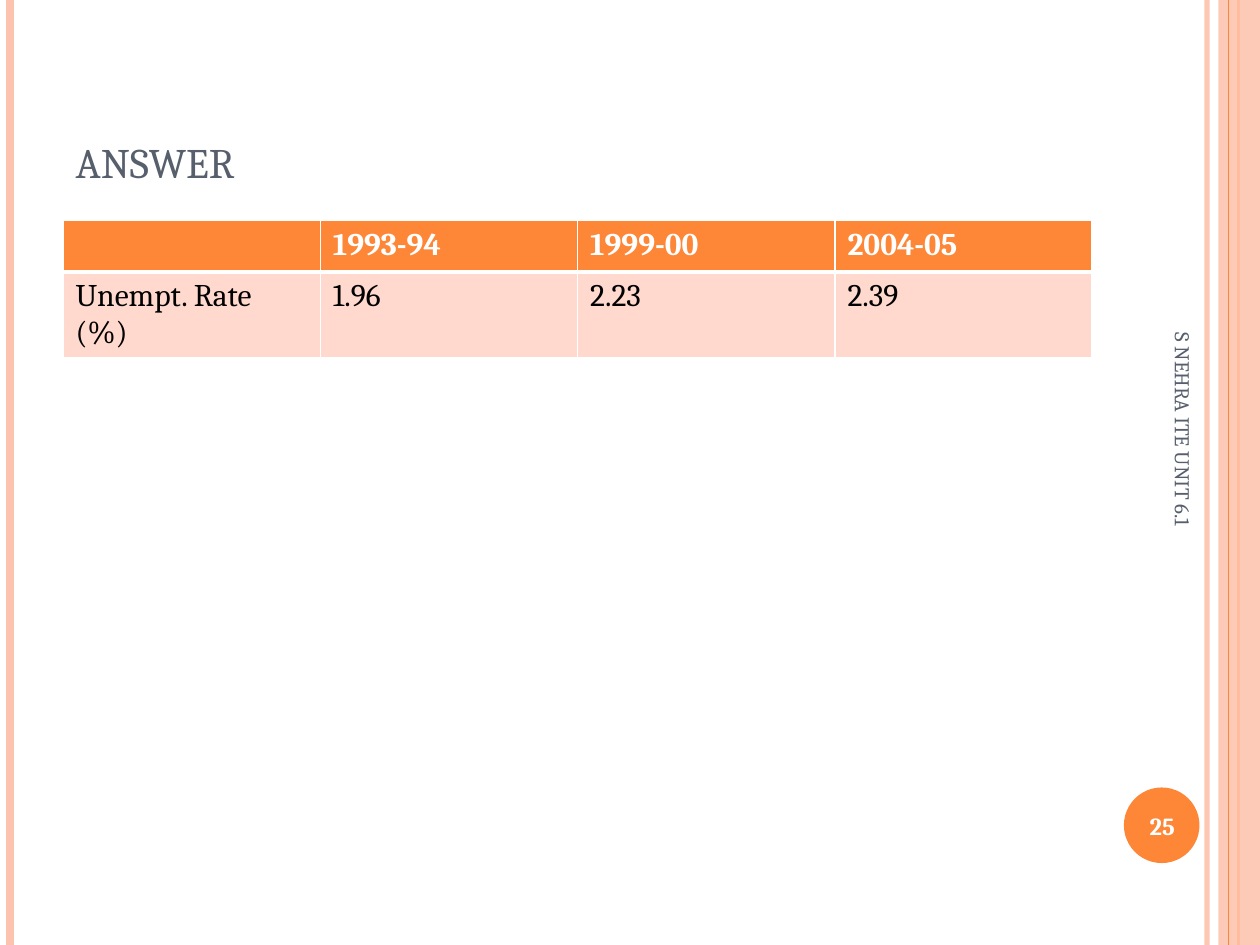
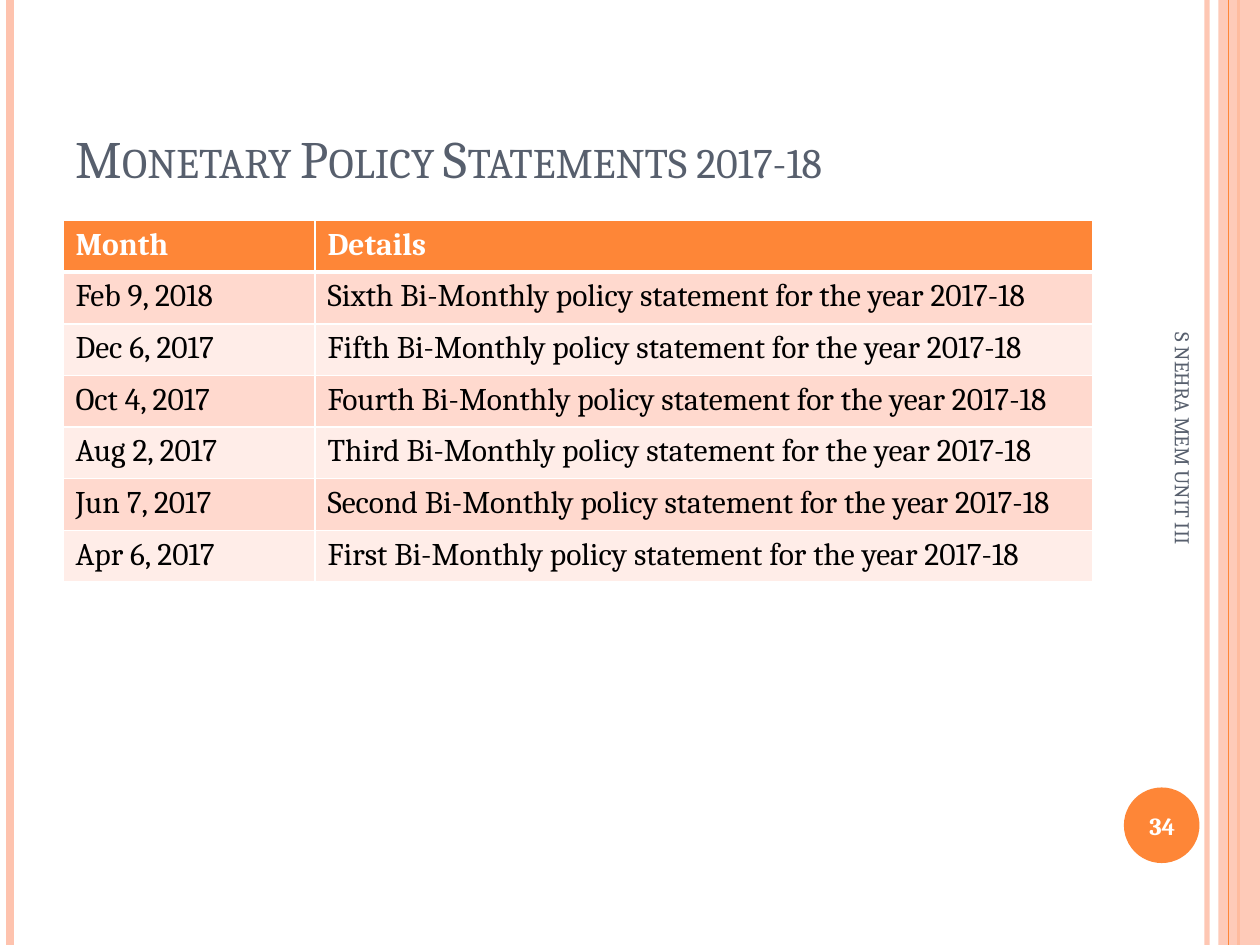
from dataclasses import dataclass

from pptx import Presentation
from pptx import util as u
from pptx.dml.color import RGBColor
from pptx.enum import shapes, text
from pptx.oxml.ns import qn
from lxml import etree


@dataclass(frozen=True)
class Theme:
    font: str = "Cambria"
    accent: str = "FE8637"
    pale: str = "FEC3AE"
    slate: str = "575F6D"
    white: str = "FFFFFF"
    black: str = "000000"
    bands: tuple = ("FFD9CE", "FFEDE8")
    title_size: int = 30
    table_size: int = 18
    number_size: int = 14
    footer_size: int = 12


T = Theme()
PAGE_W, PAGE_H = 10, 7.5
LEFT, CONTENT_W = 0.5, 8.17
ROW_H = 0.41


def rgb(value):
    return RGBColor.from_string(value)


def box(*inches):
    return [u.Inches(v) for v in inches]


def write(tf, content, size, color, bold=False, align=text.PP_ALIGN.LEFT,
          anchor=None, small_caps=False):
    tf.word_wrap = True
    if anchor is not None:
        tf.vertical_anchor = anchor
    p = tf.paragraphs[0]
    p.alignment = align
    r = p.add_run()
    r.text = content
    r.font.name, r.font.size, r.font.bold = T.font, u.Pt(size), bold
    r.font.color.rgb = rgb(color)
    if small_caps:
        r.font.element.set("cap", "small") if hasattr(r.font, "element") else \
            r._r.get_or_add_rPr().set("cap", "small")


def set_alpha(sp, percent):
    clr = next(sp.element.spPr.iter(qn("a:srgbClr")))
    etree.SubElement(clr, qn("a:alpha"), val=str(percent * 1000))


def add_stripe(s, x, color, width, alpha=None):
    """Draw a full-height vertical line."""
    line = s.shapes.add_connector(shapes.MSO_CONNECTOR.STRAIGHT, *box(x, 0, x, PAGE_H))
    line.line.color.rgb = rgb(color)
    line.line.width = u.Pt(width)
    if alpha:
        set_alpha(line, alpha)
    etree.SubElement(line.element.spPr, qn("a:effectLst"))
    return line


def add_filled(s, kind, at, color, alpha=None):
    sp = s.shapes.add_shape(kind, *box(*at))
    sp.shadow.inherit = False
    sp.fill.solid()
    sp.fill.fore_color.rgb = rgb(color)
    sp.line.fill.background()
    if alpha:
        set_alpha(sp, alpha)
    return sp


def decorate_layout(s):
    """Draw the shared bands and disc, then move them to the slide's layout."""
    kinds = shapes.MSO_SHAPE
    parts = [
        add_stripe(s, 9.58, T.pale, 3, alpha=93),
        add_stripe(s, 0.08, T.pale, 4.5),
        add_stripe(s, 9.83, T.accent, 1.5),
        add_filled(s, kinds.RECTANGLE, (9.67, 0, PAGE_W - 9.67, PAGE_H), T.pale, alpha=87),
        add_stripe(s, 9.75, T.accent, 0.75),
        add_filled(s, kinds.OVAL, (8.92, 6.25, 0.6, 0.6), T.accent),
    ]
    for part in parts:
        s.slide_layout.shapes.element.append(part.element)


def add_title(s, content):
    sp = s.shapes.title
    sp.left, sp.top, sp.width, sp.height = box(LEFT, 0.3, CONTENT_W, 1.25)
    write(sp.text_frame, content, T.title_size, T.slate,
          anchor=text.MSO_ANCHOR.BOTTOM, small_caps=True)


def add_text(s, at, content, size, color, rotation=0, **fmt):
    sp = s.shapes.add_textbox(*box(*at))
    sp.rotation = rotation
    write(sp.text_frame, content, size, color, anchor=text.MSO_ANCHOR.MIDDLE, **fmt)


def set_borders(cell, **widths):
    tc_pr = cell._tc.get_or_add_tcPr()
    for side in "LRTB":
        ln = etree.SubElement(tc_pr, qn(f"a:ln{side}"), w=str(u.Pt(widths.get(side, 1))))
        fill = etree.SubElement(ln, qn("a:solidFill"))
        etree.SubElement(fill, qn("a:srgbClr"), val=T.white)


def add_table(s, rows, widths):
    """Add a table with a header row, banded body rows and white rules."""
    frame = s.shapes.add_table(len(rows), len(widths),
                               *box(LEFT, 1.75, CONTENT_W, ROW_H * len(rows)))
    table = frame.table
    for column, width in zip(table.columns, widths):
        column.width = u.Inches(width)
    for i, values in enumerate(rows):
        table.rows[i].height = u.Inches(ROW_H)
        header = i == 0
        for j, value in enumerate(values):
            cell = table.cell(i, j)
            set_borders(cell, B=3 if header else 1, T=3 if i == 1 else 1)
            cell.fill.solid()
            cell.fill.fore_color.rgb = rgb(T.accent if header else T.bands[(i - 1) % 2])
            if value:
                write(cell.text_frame, value, T.table_size,
                      T.white if header else T.black, bold=header)


def add_table_slide(prs, title, rows, widths, footer, number):
    s = prs.slides.add_slide(prs.slide_layouts[5])
    if len(prs.slides) == 1:
        decorate_layout(s)
    add_title(s, title)
    add_table(s, rows, widths)
    add_text(s, (7.64, 4.09, 3.5, 0.4), footer, T.footer_size, T.slate, rotation=90)
    add_text(s, (8.89, 6.27, 0.67, 0.57), number, T.number_size, T.white,
             bold=True, align=text.PP_ALIGN.CENTER)


def main():
    prs = Presentation()
    prs.slide_width, prs.slide_height = box(PAGE_W, PAGE_H)

    unemployment = [("", "1993-94", "1999-00", "2004-05"),
                    ("Unempt. Rate (%)", "1.96", "2.23", "2.39")]
    add_table_slide(prs, "answer", unemployment, [CONTENT_W / 4] * 4,
                    "S NEHRA ITE UNIT 6.1", "25")

    statements = [("Feb 9, 2018", "Sixth"), ("Dec 6, 2017", "Fifth"),
                  ("Oct 4, 2017", "Fourth"), ("Aug 2, 2017", "Third"),
                  ("Jun 7, 2017", "Second"), ("Apr 6, 2017", "First")]
    policy = [("Month", "Details")] + [
        (date, f"{ordinal} Bi-Monthly policy statement for the year 2017-18")
        for date, ordinal in statements]
    add_table_slide(prs, "Monetary Policy Statements 2017-18", policy,
                    [2, CONTENT_W - 2], "S NEHRA MEM UNIT III", "34")

    prs.save("out.pptx")


if __name__ == "__main__":
    main()
